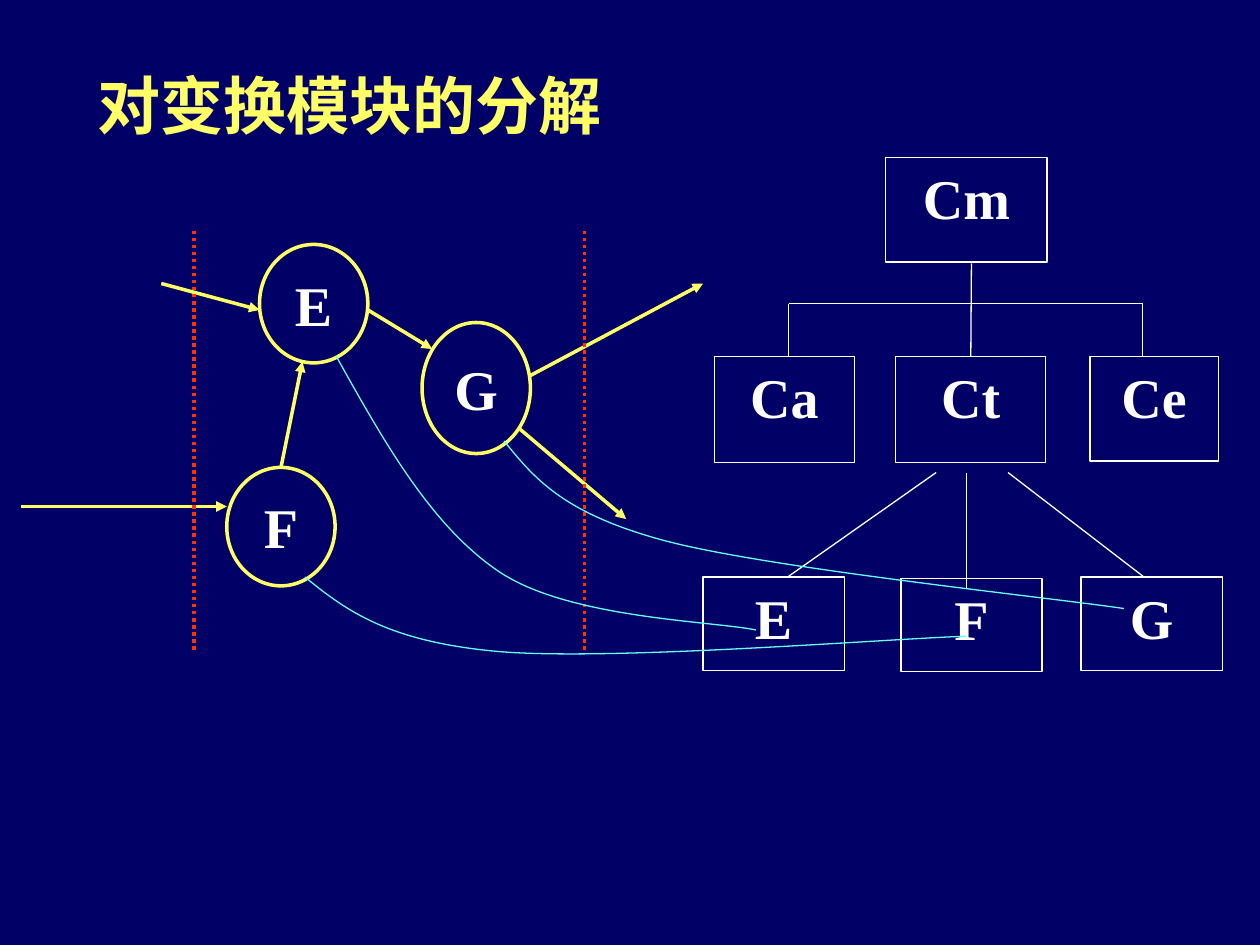
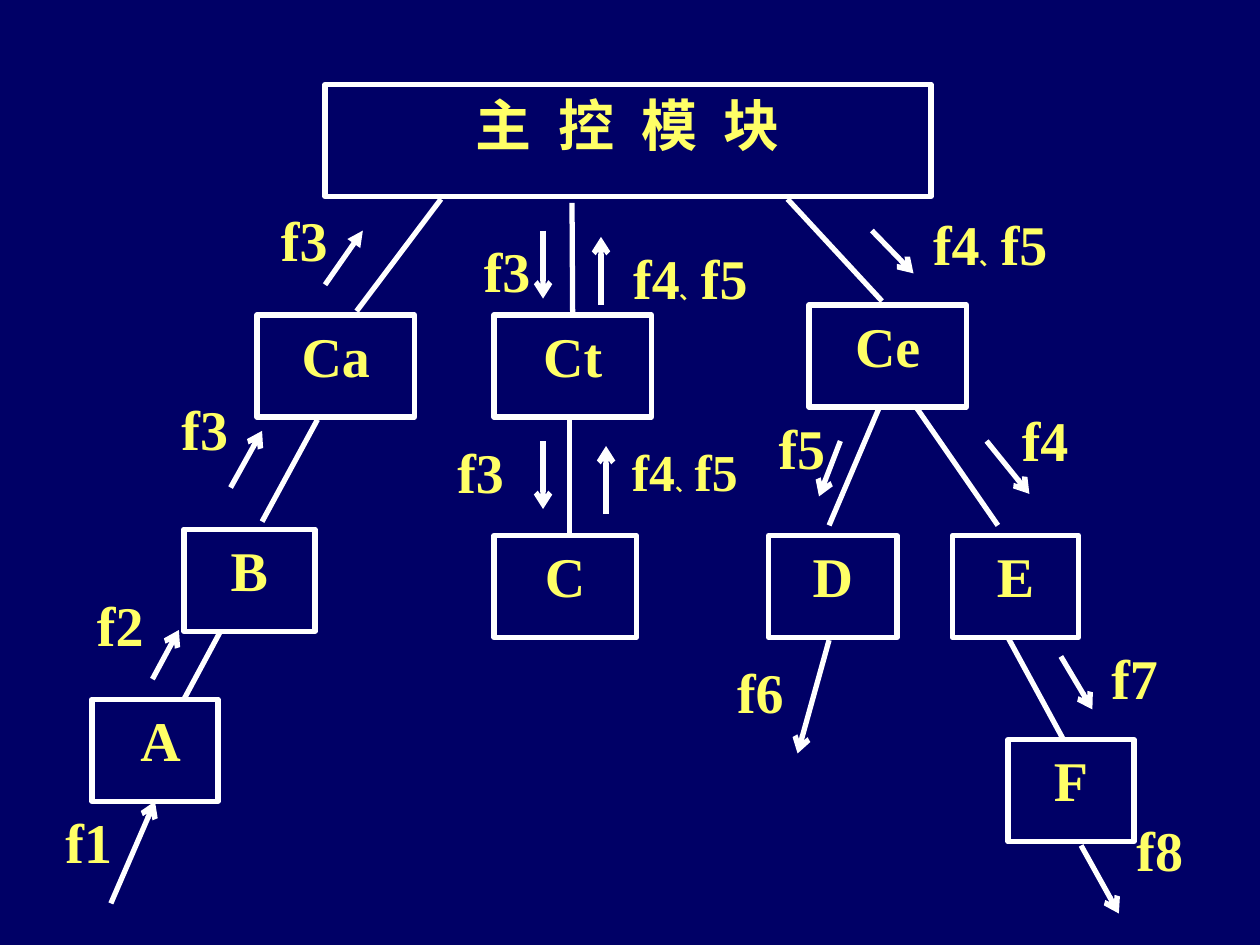
"""Builds two slides on decomposing transform modules into a structure chart."""
from dataclasses import dataclass, replace
from typing import Any, Optional

from lxml import etree
from pptx import Presentation
from pptx import util as u
from pptx.dml import color
from pptx.enum import dml, shapes, text
from pptx.oxml import ns

NAVY, YELLOW, WHITE, RED, CYAN = "000066", "FFFF66", "FFFFFF", "FF3300", "66FFFF"
LATIN, CJK = "Times New Roman", "Noto Sans CJK SC"
COLUMNS, ROWS = 100, 75
SEPARATOR = "、"
JOIN_REACH = 0.2

prs = Presentation()
prs.slide_width, prs.slide_height = u.Inches(10), u.Inches(7.5)


@dataclass(frozen=True)
class Pen:
    color: str
    width: float
    head: Optional[str] = None
    dash: Any = None


@dataclass(frozen=True)
class Style:
    ink: str
    pen: Optional[Pen] = None
    round: bool = False
    size: float = 32
    spacing: float = 1


@dataclass(frozen=True)
class Node:
    text: str
    x: float
    y: float
    w: float = 7.5
    h: float = 8.1
    pad: float = 1
    tracking: int = 0


@dataclass(frozen=True)
class Link:
    x1: float
    y1: float
    x2: float
    y2: float


def col(n: float) -> int:
    return round(prs.slide_width * n / COLUMNS)


def row(n: float) -> int:
    return round(prs.slide_height * n / ROWS)


def rgb(value: str) -> color.RGBColor:
    return color.RGBColor.from_string(value)


def sub(parent: Any, tag: str, **attrs: str) -> Any:
    return etree.SubElement(parent, ns.qn(tag), **attrs)


def draw_line(line: Any, pen: Pen) -> None:
    line.color.rgb = rgb(pen.color)
    line.width = u.Pt(pen.width)
    if pen.dash:
        line.dash_style = pen.dash


def set_font(p: Any, ink: str, size: float, latin: str = LATIN, tracking: int = 0) -> None:
    p.font.size, p.font.bold, p.font.name = u.Pt(size), True, latin
    p.font.color.rgb = rgb(ink)
    props = p._p.find(ns.qn("a:pPr")).find(ns.qn("a:defRPr"))
    sub(props, "a:ea", typeface=CJK)
    if tracking:
        props.set("spc", str(tracking))


def add_node(s: Any, node: Node, style: Style) -> Any:
    frame = col(node.x), row(node.y), col(node.w), row(node.h)
    if style.pen:
        kind = shapes.MSO_SHAPE.OVAL if style.round else shapes.MSO_SHAPE.RECTANGLE
        sp = s.shapes.add_shape(kind, *frame)
        sp.shadow.inherit = False
        draw_line(sp.line, style.pen)
        sp.fill.background()
    else:
        sp = s.shapes.add_textbox(*frame)
    if style.round:
        sp.fill.solid()
        sp.fill.fore_color.rgb = rgb(NAVY)
    tf = sp.text_frame
    tf.word_wrap = not style.round
    tf.vertical_anchor = text.MSO_ANCHOR.MIDDLE if style.round else text.MSO_ANCHOR.TOP
    tf.margin_left = col(node.pad)
    p = tf.paragraphs[0]
    p.alignment = text.PP_ALIGN.CENTER
    p.line_spacing = style.spacing
    set_font(p, style.ink, style.size, tracking=node.tracking)
    for part in filter(None, node.text.partition(SEPARATOR)):
        r = p.add_run()
        r.text = part
        if part == SEPARATOR:
            r.font.size = u.Pt(style.size * 0.375)
    return sp


def add_nodes(s: Any, nodes: list[Node], style: Style) -> list[Any]:
    return [add_node(s, node, style) for node in nodes]


def find_side(boxes: list[Any], x: float, y: float) -> Optional[tuple[Any, int]]:
    """Find the box side whose middle lies at the given grid point."""
    for sp in boxes:
        mid_x, mid_y = sp.left + sp.width / 2, sp.top + sp.height / 2
        sides = ((mid_x, sp.top), (sp.left, mid_y),
                 (mid_x, sp.top + sp.height), (sp.left + sp.width, mid_y))
        for site, (side_x, side_y) in enumerate(sides):
            if max(abs(side_x - col(x)), abs(side_y - row(y))) <= col(JOIN_REACH):
                return sp, site
    return None


def add_links(s: Any, links: list[Link], pen: Pen, boxes: list[Any]) -> None:
    for link in links:
        line = s.shapes.add_connector(shapes.MSO_CONNECTOR.STRAIGHT, col(link.x1),
                                      row(link.y1), col(link.x2), row(link.y2))
        start = find_side(boxes, link.x1, link.y1)
        end = find_side(boxes, link.x2, link.y2)
        if start:
            line.begin_connect(*start)
        if end:
            line.end_connect(*end)
        draw_line(line.line, pen)
        if pen.head:
            sub(line.line._get_or_add_ln(), "a:tailEnd", type=pen.head)
        sub(line._element.spPr, "a:effectLst")


def add_curve(s: Any, points: list[tuple[float, float]], pen: Pen) -> None:
    """Draw a Bezier chain: a start, then two controls and an end per piece."""
    start, *others = [(col(x), row(y)) for x, y in points]
    builder = s.shapes.build_freeform(*start)
    builder.add_line_segments(others, close=False)
    sp = builder.convert_to_shape()
    sp.shadow.inherit = False
    sp.fill.background()
    draw_line(sp.line, pen)
    outline = next(sp._element.iter(ns.qn("a:path")))
    segments = outline.findall(ns.qn("a:lnTo"))
    for i in range(0, len(segments), 3):
        bezier = sub(outline, "a:cubicBezTo")
        for segment in segments[i:i + 3]:
            bezier.append(segment[0])
            outline.remove(segment)


def add_title(s: Any, wording: str) -> None:
    sp = s.shapes.title
    sp.left, sp.top, sp.width, sp.height = col(6.7), row(3.3), col(49.2), row(10)
    tf = sp.text_frame
    tf.text = wording
    tf.vertical_anchor = text.MSO_ANCHOR.MIDDLE
    tf.auto_size = text.MSO_AUTO_SIZE.NONE
    tf.paragraphs[0].alignment = text.PP_ALIGN.LEFT
    set_font(tf.paragraphs[0], YELLOW, 36, latin=CJK)


def build_decomposition() -> None:
    s = prs.slides.add_slide(prs.slide_layouts[5])
    add_title(s, "对变换模块的分解")
    thin, flow = Pen(WHITE, 0.75), Pen(YELLOW, 2, "triangle")
    modules = add_nodes(s, [
        Node("Cm", 70.3, 12.5, 12.8, 8.3),
        Node("Ca", 56.7, 28.3, 11.1, 8.4),
        Node("Ct", 71.1, 28.3, 11.9, 8.4),
        Node("Ce", 86.5, 28.3, 10.2, 8.3),
        Node("E", 55.8, 45.8, 11.2, 7.4),
        Node("F", 71.5, 45.9, 11.2, 7.4),
        Node("G", 85.8, 45.8, 11.2, 7.4),
    ], Style(WHITE, thin))
    add_links(s, [
        Link(62.6, 24.1, 90.7, 24.1), Link(77.1, 20.9, 77.1, 28.3),
        Link(62.6, 24.1, 62.6, 28.3), Link(90.7, 24.1, 90.7, 28.3),
        Link(74.3, 37.5, 62.5, 45.8), Link(76.7, 37.5, 76.7, 46.7),
        Link(80, 37.5, 90.8, 45.8),
    ], thin, modules)
    add_nodes(s, [
        Node("F", 18, 37.1, 8.6, 9.4),
        Node("E", 20.6, 19.4, 8.6, 9.4),
        Node("G", 33.5, 25.6, 8.6, 10.4),
    ], Style(WHITE, replace(flow, head=None), round=True))
    add_links(s, [
        Link(12.8, 22.5, 20.6, 24.6), Link(1.7, 40.2, 18, 40.2),
        Link(22.3, 37.1, 24, 28.7), Link(29.2, 24.6, 34.3, 27.7),
        Link(41.2, 34, 49.7, 41.2), Link(42.1, 29.8, 55.8, 22.5),
    ], flow, modules)
    add_links(s, [Link(x, 18.3, x, 51.7) for x in (15.4, 46.4)],
              Pen(RED, 2, dash=dml.MSO_LINE.ROUND_DOT), modules)
    for mapping in (
        [(26.7, 28.3), (30.5, 35.1), (34.3, 41.9), (39.8, 45.5),
         (45.4, 49.1), (56.6, 49.3), (60, 50)],
        [(24.2, 45.8), (27.4, 48.4), (30.7, 50.9), (39.4, 51.7),
         (48.2, 52.5), (70.5, 50.7), (76.7, 50.5)],
        [(40, 35), (42.3, 37.8), (44.5, 40.7), (52.7, 42.9),
         (60.9, 45.1), (83.1, 47.4), (89.2, 48.3)],
    ):
        add_curve(s, mapping, Pen(CYAN, 0.75))


def build_structure_chart() -> None:
    s = prs.slides.add_slide(prs.slide_layouts[6])
    bold = Pen(WHITE, 3)
    label = Style(YELLOW)
    add_nodes(s, [
        Node("f1", 3.3, 63.6), Node("f2", 5.8, 46.4), Node("f3", 12.5, 30.8),
        Node("f3", 20.8, 15.8, 6.7), Node("f3", 36.5, 18.3),
        Node("f3", 34.8, 34.2, 6.7), Node("f4、f5", 47.3, 18.8, 15),
        Node("f4、f5", 71.3, 16.1, 14.6), Node("f5", 60, 32.3, 7.3),
        Node("f4", 79.2, 31.7), Node("f6", 56.7, 51.7, 7.3),
        Node("f7", 86.3, 50.6), Node("f8", 88.3, 64.2),
    ], label)
    add_node(s, Node("f4、f5", 48.1, 35, 12.5), replace(label, size=29.6, spacing=0.9))
    modules = add_nodes(s, [
        Node("主 控 模 块", 25.8, 6.7, 48.1, 8.9, tracking=400),
        Node("Ca", 20.4, 25, 12.5), Node("Ct", 39.2, 25, 12.5),
        Node("Ce", 64.2, 24.2, 12.5),
        Node("A", 7.3, 55.5, 10, pad=1.9), Node("B", 14.6, 42, 10.4),
        Node("C", 39.2, 42.5, 11.3), Node("D", 61, 42.5, 10.2),
        Node("E", 75.6, 42.5, 10), Node("F", 80, 58.7, 10),
    ], replace(label, pen=bold))
    add_links(s, [
        Link(35, 15.8, 28.3, 24.7), Link(45.4, 16.1, 45.6, 25),
        Link(62.5, 15.8, 70, 23.9), Link(25.2, 33.3, 20.8, 41.4),
        Link(45.2, 33.3, 45.2, 42.5), Link(69.8, 32.3, 65.8, 41.7),
        Link(72.7, 32.3, 79.2, 41.7), Link(14.6, 55.5, 17.5, 50.1),
        Link(80, 50.6, 84.4, 58.7),
    ], bold, modules)
    add_links(s, [Link(25.8, 22.6, 28.8, 18.3)], replace(bold, head="triangle"), modules)
    add_links(s, [
        Link(47.7, 24.2, 47.7, 18.8), Link(43.1, 18.3, 43.1, 23.7),
        Link(43.1, 35, 43.1, 40.4), Link(48.1, 40.8, 48.1, 35.4),
        Link(69.2, 18.3, 72.5, 21.7), Link(18.3, 38.7, 20.8, 34.2),
        Link(12.1, 53.9, 14.2, 50), Link(8.8, 71.7, 12.3, 63.6),
        Link(66.7, 35, 65, 39.4), Link(78.3, 35, 81.7, 39.2),
        Link(65.8, 50.8, 63.3, 59.8), Link(84.2, 52.1, 86.7, 56.3),
        Link(85.8, 67.1, 88.8, 72.5),
    ], replace(bold, head="arrow"), modules)


def main() -> None:
    backdrop = prs.slide_master.background.fill
    backdrop.solid()
    backdrop.fore_color.rgb = rgb(NAVY)
    build_decomposition()
    build_structure_chart()
    prs.save("out.pptx")


if __name__ == "__main__":
    main()
